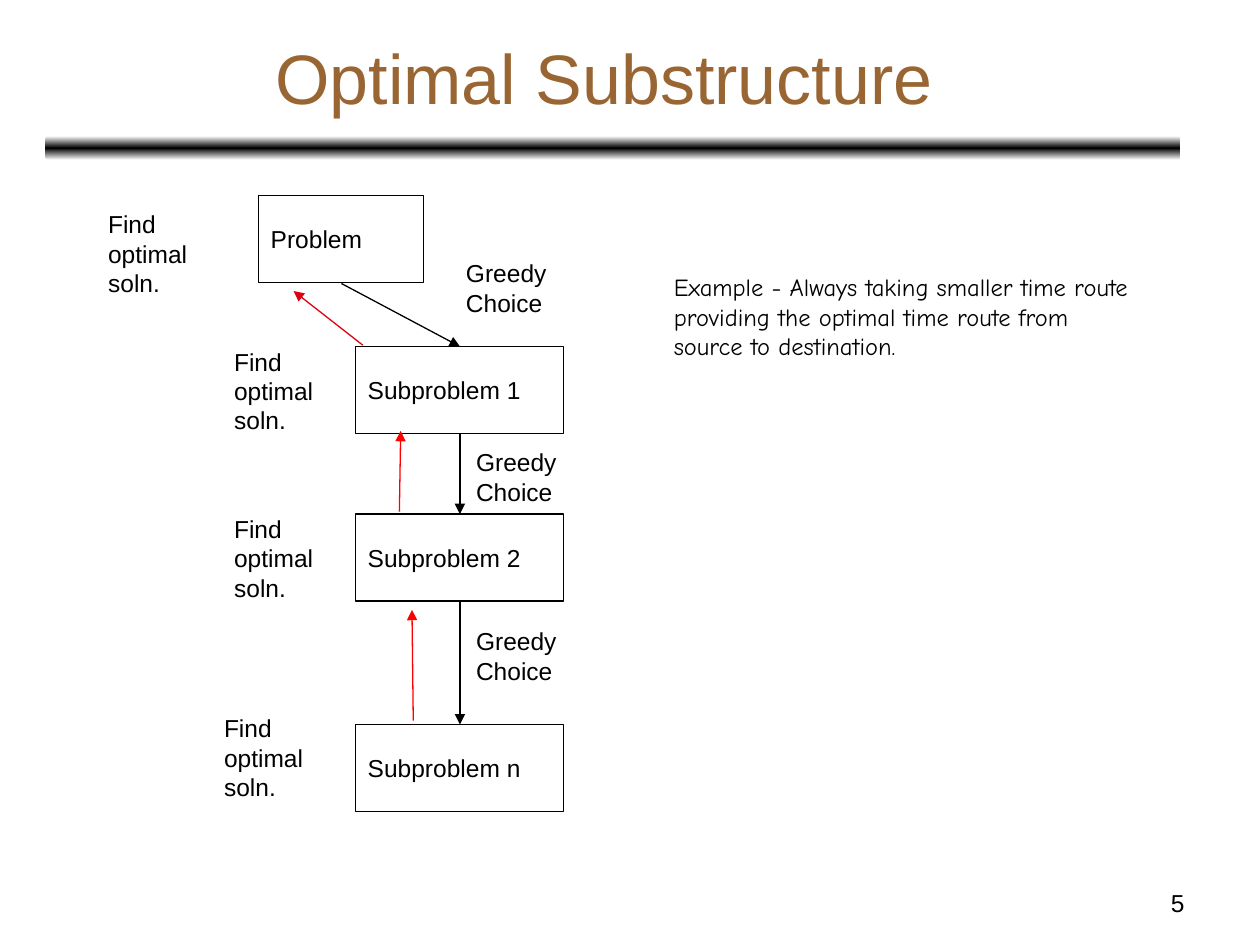
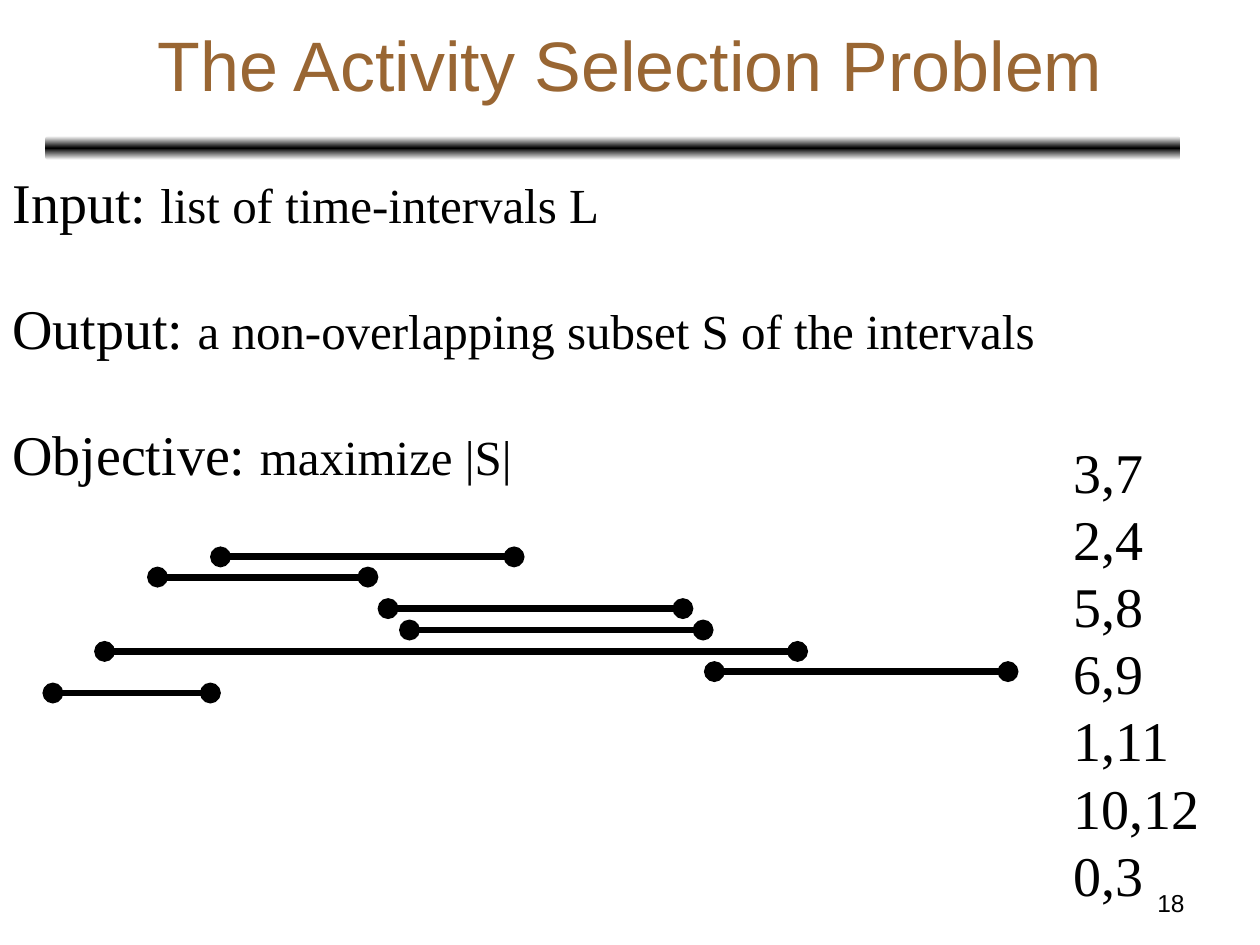
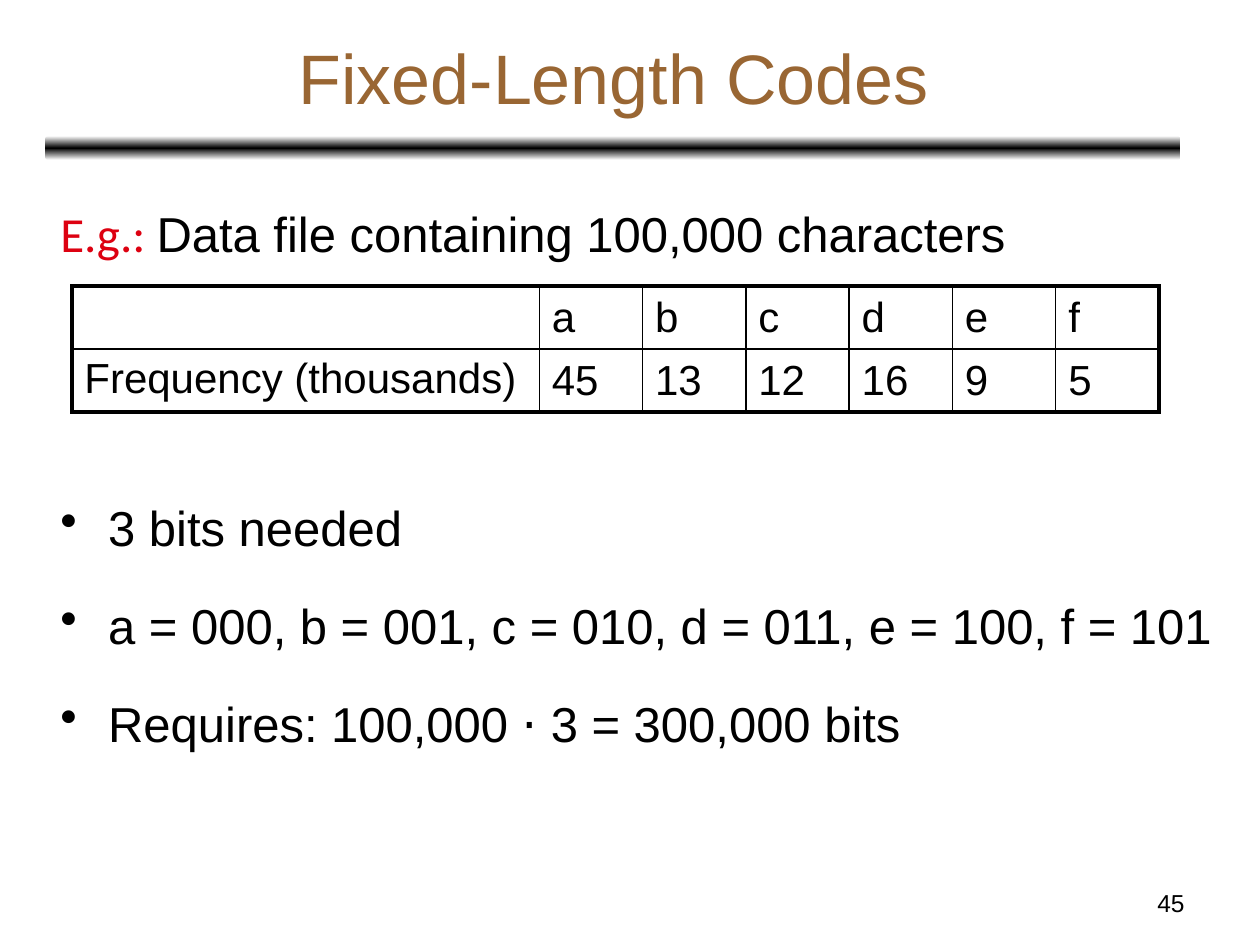
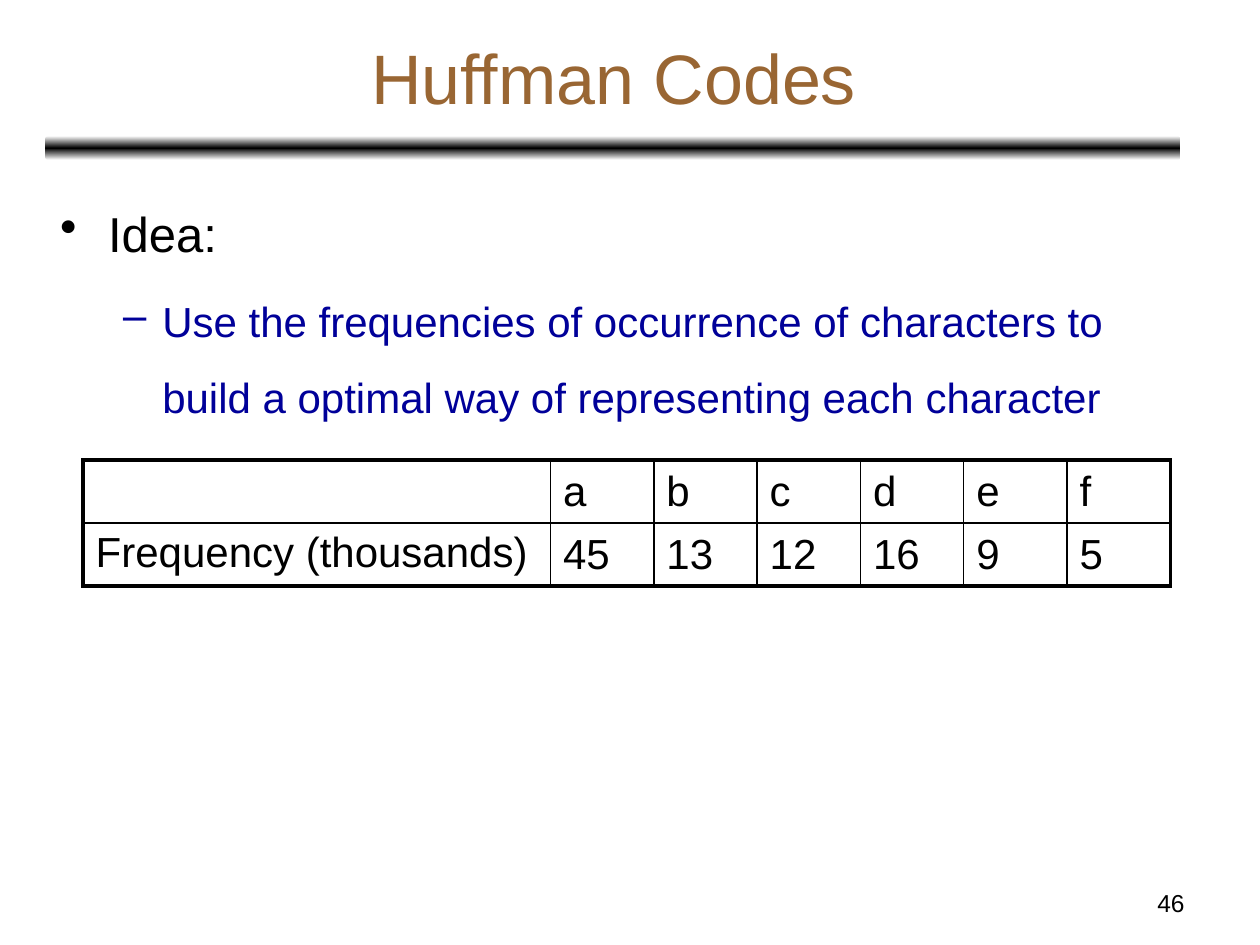
import dataclasses

import lxml.etree
import copy
import pptx
import pptx.dml.color
import pptx.enum.shapes
import pptx.enum.text
import pptx.oxml.ns
import pptx.util

Inches = pptx.util.Inches
Pt = pptx.util.Pt
qn = pptx.oxml.ns.qn
ANCHOR = pptx.enum.text.MSO_ANCHOR
ALIGN = pptx.enum.text.PP_ALIGN
SHAPE = pptx.enum.shapes.MSO_SHAPE
STRAIGHT = pptx.enum.shapes.MSO_CONNECTOR.STRAIGHT


@dataclasses.dataclass(frozen=True)
class Theme:
    """Colours, fonts and sizes shared by all slides."""
    black: str = "000000"
    white: str = "FFFFFF"
    brown: str = "996633"
    blue: str = "000099"
    red: str = "FF0000"
    crimson: str = "DD0111"
    sans: str = "Arial"
    serif: str = "Times New Roman"
    hand: str = "Comic Neue"
    accent: str = "Calibri"
    title: int = 40
    large: int = 32
    body: int = 28
    medium: int = 24
    small: int = 14
    thin: float = 0.75
    inner: float = 1
    outer: float = 2.25
    thick: float = 4


@dataclasses.dataclass
class Span:
    """A run of text with its own style."""
    text: str
    size: int
    font: str = Theme.sans
    color: str = Theme.black


@dataclasses.dataclass
class Para:
    """A paragraph of spans with spacing, indents and bullet."""
    spans: list
    align: object = None
    before: float = 0
    spacing: float = None
    margin: float = 0
    hanging: float = 0
    bullet: str = None


def rgb(color):
    """Turn a hex string into a colour."""
    return pptx.dml.color.RGBColor.from_string(color)


def plain(text, size=Theme.small, font=Theme.sans, color=Theme.black, **layout):
    """Make a paragraph of one span."""
    return Para([Span(text, size, font, color)], **layout)


class SlideBuilder:
    """Holds the theme, the deck and the current slide."""

    def __init__(self):
        self.theme = Theme()
        self.deck = pptx.Presentation()
        self.deck.slide_width, self.deck.slide_height = Inches(10), Inches(7.5)
        self.page = None

    def start(self, title, number, at=(0.37, 0.11, 9, 0.99)):
        """Add a slide with band, title and page number."""
        theme = self.theme
        self.page = self.deck.slides.add_slide(self.deck.slide_layouts[6])
        self.band()
        self.text(at, [plain(title, theme.title, color=theme.brown, align=ALIGN.CENTER)],
                  anchor=ANCHOR.MIDDLE)
        self.text((7.17, 7, 2.33, 0.35), [plain(str(number), align=ALIGN.RIGHT)])

    def band(self):
        """Draw the gradient band under the title."""
        band = self.page.shapes.add_shape(SHAPE.ROUNDED_RECTANGLE, *map(Inches, (0.36, 1.08, 9.01, 0.19)))
        band.shadow.inherit = False
        band.line.fill.background()
        band.fill.gradient()
        band.fill.gradient_angle = 90
        stops = next(band._element.spPr.iter(qn("a:gsLst")))
        stops.append(copy.deepcopy(stops[0]))
        colors = (self.theme.white, self.theme.black, self.theme.white)
        for stop, color, position in zip(band.fill.gradient_stops, colors, (0, 0.5, 1)):
            stop.color.rgb = rgb(color)
            stop.position = position

    def fill_frame(self, frame, paras):
        """Write paragraphs run by run into a text frame."""
        for index, para in enumerate(paras):
            line = frame.add_paragraph() if index else frame.paragraphs[0]
            line.alignment = para.align or ALIGN.LEFT
            line.space_before = Pt(para.before)
            if para.spacing:
                line.line_spacing = para.spacing
            properties = line._p.get_or_add_pPr()
            properties.set("marL", str(Inches(para.margin)))
            properties.set("indent", str(Inches(-para.hanging)))
            if para.bullet:
                lxml.etree.SubElement(properties, qn("a:buChar")).set("char", para.bullet)
            for span in para.spans:
                run = line.add_run()
                run.text = span.text
                run.font.size = Pt(span.size)
                run.font.name = span.font
                run.font.color.rgb = rgb(span.color)

    def text(self, at, paras, anchor=ANCHOR.TOP, inset=0.05):
        """Add a wrapped text box."""
        box = self.page.shapes.add_textbox(*map(Inches, at))
        frame = box.text_frame
        frame.word_wrap = True
        frame.vertical_anchor = anchor
        frame.margin_top = frame.margin_bottom = Inches(inset)
        self.fill_frame(frame, paras)

    def node(self, at, label):
        """Add an outlined white box with a label."""
        box = self.page.shapes.add_shape(SHAPE.RECTANGLE, *map(Inches, at))
        box.shadow.inherit = False
        box.fill.solid()
        box.fill.fore_color.rgb = rgb(self.theme.white)
        box.line.color.rgb = rgb(self.theme.black)
        box.line.width = Pt(self.theme.thin)
        box.text_frame.word_wrap = True
        box.text_frame.vertical_anchor = ANCHOR.MIDDLE
        self.fill_frame(box.text_frame, [plain(label)])

    def line(self, start, end, color=Theme.black, width=Theme.thin, head=None, tail="triangle"):
        """Add a straight line with end marks."""
        line = self.page.shapes.add_connector(STRAIGHT, *map(Inches, (*start, *end)))
        line.line.color.rgb = rgb(color)
        line.line.width = Pt(width)
        stroke = line.line._get_or_add_ln()
        for tag, kind in (("a:headEnd", head), ("a:tailEnd", tail)):
            if kind:
                lxml.etree.SubElement(stroke, qn(tag)).set("type", kind)
        lxml.etree.SubElement(line._element.spPr, qn("a:effectLst"))

    def border(self, cell, edges):
        """Draw the left, right, top and bottom borders of a cell."""
        properties = cell._tc.get_or_add_tcPr()
        for index, (side, is_outer) in enumerate(zip("LRTB", edges)):
            width = self.theme.outer if is_outer else self.theme.inner
            stroke = lxml.etree.Element(qn(f"a:ln{side}"), w=str(Pt(width)))
            fill = lxml.etree.SubElement(stroke, qn("a:solidFill"))
            lxml.etree.SubElement(fill, qn("a:srgbClr")).set("val", self.theme.black)
            properties.insert(index, stroke)

    def table(self, left, top, rows, widths, height=0.5):
        """Add a table with a heavy frame and thin inner lines."""
        last_row, last_column = len(rows) - 1, len(widths) - 1
        size = (sum(widths), height * len(rows))
        table = self.page.shapes.add_table(len(rows), len(widths), *map(Inches, (left, top, *size))).table
        table.first_row = table.horz_banding = False
        for column, width in zip(table.columns, widths):
            column.width = Inches(width)
        for y, row in enumerate(rows):
            for x, value in enumerate(row):
                cell = table.cell(y, x)
                cell.fill.background()
                cell.vertical_anchor = ANCHOR.MIDDLE if x else ANCHOR.TOP
                if value:
                    self.fill_frame(cell.text_frame, [plain(value, self.theme.medium)])
                self.border(cell, (x == 0, x == last_column, y == 0, y == last_row))

    def frequencies(self, left, top):
        """Add the table of character frequencies."""
        rows = [["", *"abcdef"], ["Frequency (thousands)", "45", "13", "12", "16", "9", "5"]]
        self.table(left, top, rows, [3.71] + [0.82] * 6)


def optimal_substructure(show):
    """Build the chain of subproblems."""
    theme = show.theme
    show.start("Optimal Substructure ", 5)
    show.node((2.05, 1.55, 1.31, 0.69), "Problem")
    for name, top in (("1", 2.75), ("2", 4.08), ("n", 5.75)):
        show.node((2.82, top, 1.65, 0.69), f"Subproblem {name}")
    for start, end in (((2.71, 2.25), (3.65, 2.75)), ((3.65, 3.44), (3.65, 4.08)),
                       ((3.65, 4.78), (3.65, 5.75))):
        show.line(start, end)
    for start, end, color in (((2.88, 2.74), (2.33, 2.31), theme.crimson),
                              ((3.17, 4.06), (3.18, 3.42), theme.red),
                              ((3.28, 5.72), (3.27, 4.84), theme.red)):
        show.line(start, end, color)
    for left, top in ((3.6, 1.95), (3.68, 3.45), (3.68, 4.87)):
        show.text((left, top, 0.94, 0.67), [plain("Greedy Choice")], inset=0.1)
    for left, top in ((0.76, 1.56), (1.76, 2.65), (1.76, 3.98), (1.68, 5.56)):
        show.text((left, top, 0.94, 0.91), [plain("Find optimal soln.")], inset=0.1)
    example = ("Example - Always taking smaller time route providing the optimal "
               "time route from source to destination.")
    show.text((5.25, 2.06, 3.87, 0.91), [plain(example, font=theme.hand)], inset=0.1)


def activity_selection(show):
    """Build the problem statement with its intervals."""
    theme = show.theme
    show.start("The Activity Selection Problem", 18, (0.75, 0.17, 8.5, 0.67))
    statement = (("Input: ", "list of time-intervals L"),
                 ("Output: ", "a non-overlapping subset S of the intervals"),
                 ("Objective: ", "maximize |S|"))
    show.text((0, 1.28, 9.96, 2.66), [
        Para([Span(term, theme.large, theme.serif), Span(meaning, theme.body, theme.serif)],
             before=33.6 if index else 0)
        for index, (term, meaning) in enumerate(statement)])
    intervals = (("3,7", 1.75, 4.08, 4.42), ("2,4", 1.25, 2.92, 4.58), ("5,8", 3.08, 5.42, 4.83),
                 ("6,9", 3.25, 5.58, 5), ("1,11", 0.83, 6.33, 5.17), ("10,12", 5.67, 8, 5.33),
                 ("0,3", 0.42, 1.67, 5.5))
    for _, left, right, y in intervals:
        show.line((left, y), (right, y), width=theme.thick, head="oval", tail="oval")
    show.text((8.42, 3.42, 1.2, 3.87),
              [plain(interval[0], theme.large, theme.serif) for interval in intervals])


def fixed_length_codes(show):
    """Build the fixed-length code example."""
    theme = show.theme
    show.start("Fixed-Length Codes", 45)
    layout = dict(spacing=1.5, margin=0.38, hanging=0.38)
    facts = ("3 bits needed", "a = 000, b = 001, c = 010, d = 011, e = 100, f = 101",
             "Requires: 100,000 ⋅ 3 = 300,000 bits")
    intro = Para([Span("E.g.: ", theme.body, theme.accent, theme.crimson),
                  Span("Data file containing 100,000 characters", theme.body)], **layout)
    show.text((0.38, 1.33, 9.48, 5.91), [intro] + [
        plain(fact, theme.body, bullet="•", before=5.6 if index else 117.6, **layout)
        for index, fact in enumerate(facts)])
    show.frequencies(0.57, 2.27)


def huffman_codes(show):
    """Build the idea behind Huffman codes."""
    theme = show.theme
    show.start("Huffman Codes", 46)
    idea = ("Use the frequencies of occurrence of characters to build a optimal way "
            "of representing each character")
    show.text((0.38, 1.33, 9, 5.55), [
        plain("Idea:", theme.body, spacing=1.5, margin=0.38, hanging=0.38, bullet="•"),
        plain(idea, theme.medium, color=theme.blue, before=4.8, spacing=1.5,
              margin=0.81, hanging=0.31, bullet="–")])
    show.frequencies(0.66, 3.65)


def main():
    """Build all slides and save the deck."""
    show = SlideBuilder()
    for build in (optimal_substructure, activity_selection, fixed_length_codes, huffman_codes):
        build(show)
    show.deck.save("out.pptx")


if __name__ == "__main__":
    main()
